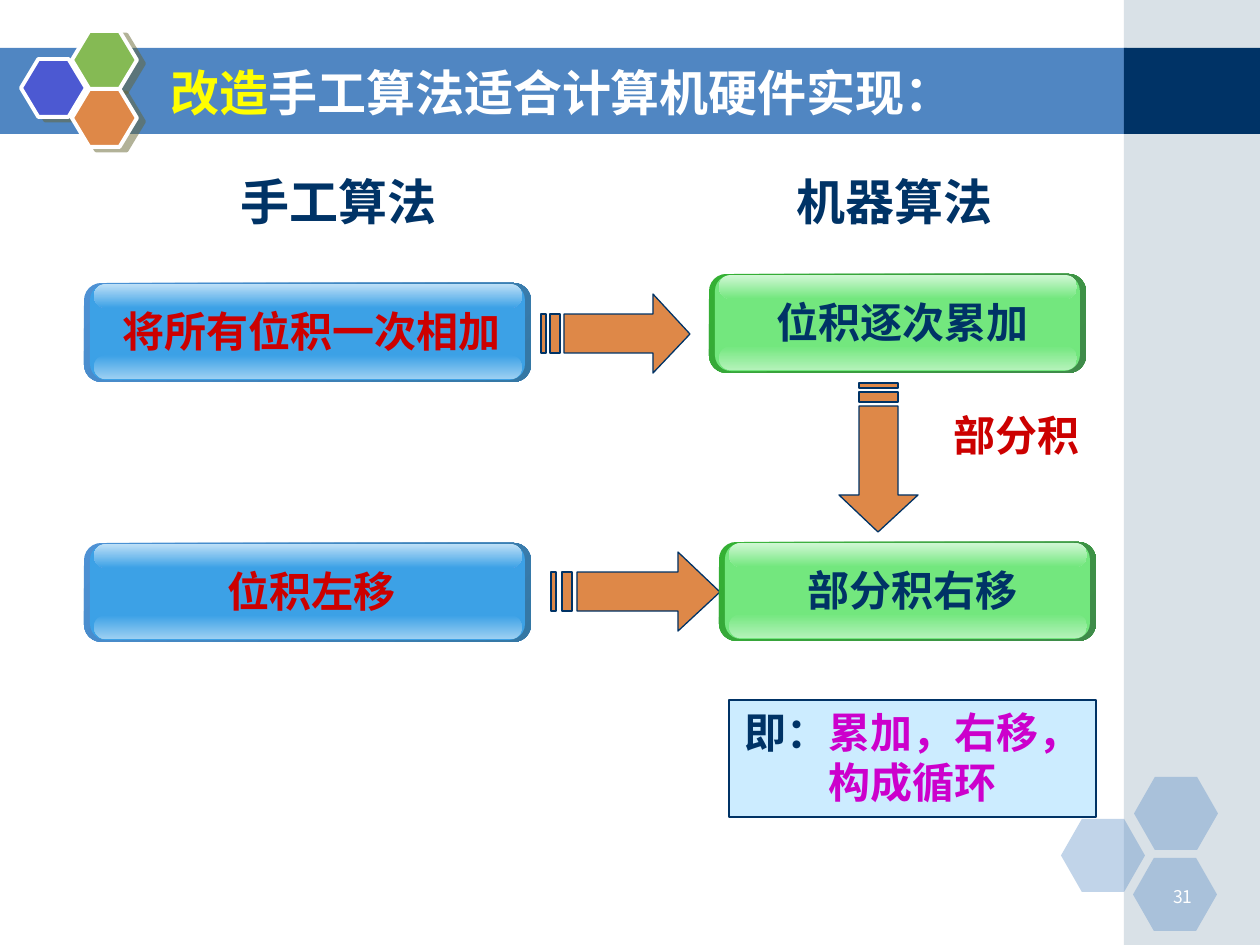
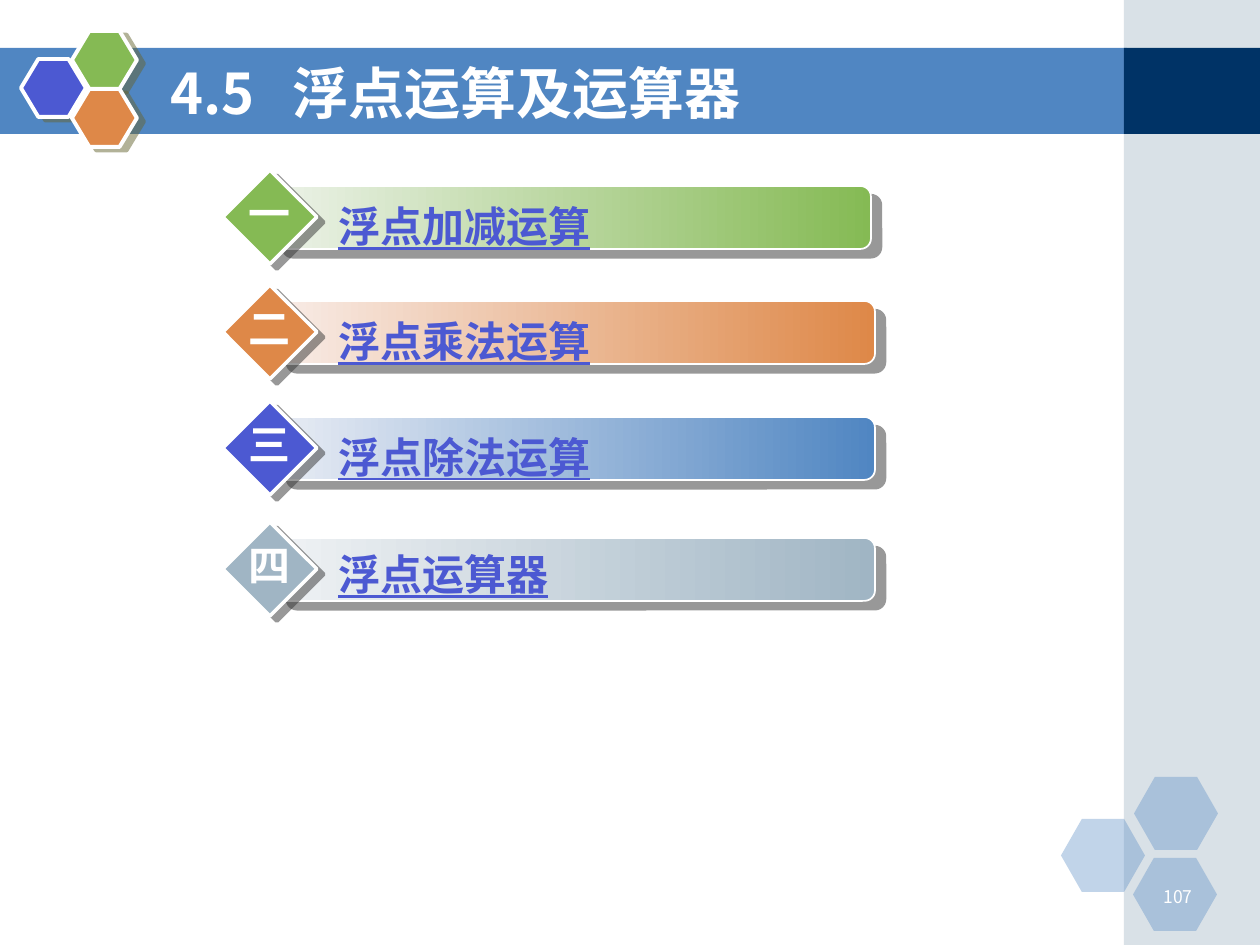
from lxml.etree import SubElement
from pptx import Presentation
from pptx.dml.color import RGBColor
from pptx.enum.shapes import MSO_SHAPE as Shape
from pptx.enum.text import MSO_ANCHOR as Anchor, MSO_AUTO_SIZE as AutoSize, PP_ALIGN as Align
from pptx.oxml.ns import qn
from pptx.util import Emu, Pt

SCALE = 914400 / 126
SANS, LATIN = "Noto Sans CJK SC", "Arial"

WHITE = RGBColor(0xFF, 0xFF, 0xFF)
NAVY = RGBColor(0x00, 0x33, 0x66)
BLUE = RGBColor(0x50, 0x86, 0xC2)
GREY = RGBColor(0xA0, 0xB5, 0xC4)
INDIGO = RGBColor(0x4C, 0x59, 0xD2)
GREEN = RGBColor(0x85, 0xBA, 0x54)
ORANGE = RGBColor(0xDE, 0x88, 0x48)
YELLOW = RGBColor(0xFF, 0xFF, 0x00)
RED = RGBColor(0xCC, 0x00, 0x00)
MAGENTA = RGBColor(0xCC, 0x00, 0xCC)
ICE = RGBColor(0xCC, 0xEC, 0xFF)
OLIVE = RGBColor(0x66, 0x66, 0x33)
CHARCOAL = RGBColor(0x33, 0x33, 0x33)
PALE_GREEN = RGBColor(0xEC, 0xF2, 0xE8)
PALE_ORANGE = RGBColor(0xF8, 0xEC, 0xE7)
PALE_BLUE = RGBColor(0xE8, 0xEC, 0xF4)
PALE_GREY = RGBColor(0xEF, 0xF2, 0xF4)

BLUE_BUTTON = {
    "rim": (RGBColor(0x4E, 0x91, 0xD4), RGBColor(0x34, 0x77, 0xA4)),
    "face": RGBColor(0x3C, 0xA1, 0xE6),
    "top": RGBColor(0xBE, 0xE0, 0xF7),
    "bottom": RGBColor(0x9B, 0xCF, 0xF2),
    "text": RED,
}
GREEN_BUTTON = {
    "rim": (RGBColor(0x34, 0xB0, 0x34), RGBColor(0x3F, 0x8B, 0x4A)),
    "face": RGBColor(0x73, 0xE7, 0x7E),
    "top": RGBColor(0xD0, 0xF7, 0xD4),
    "bottom": RGBColor(0xB3, 0xF2, 0xB9),
    "text": NAVY,
}


def px(length):
    """Turn pixels into EMU."""
    return Emu(round(length * SCALE))


def place(item, box):
    """Move and size an item to a pixel box."""
    for name, length in zip(("left", "top", "width", "height"), box):
        setattr(item, name, px(length))


def paint(item, fill, angle=0, line=None, width=1, alpha=None):
    """Give a shape its fill, which may be a pair of gradient colours, and its line."""
    item.shadow.inherit = False
    if isinstance(fill, RGBColor):
        item.fill.solid()
        item.fill.fore_color.rgb = fill
    else:
        item.fill.gradient()
        item.fill.gradient_angle = (360 - angle) % 360
        for stop, color in zip(item.fill.gradient_stops, fill):
            stop.color.rgb = color
    if alpha is not None:
        for node in item.element.spPr.iter(qn("a:srgbClr")):
            SubElement(node, qn("a:alpha"), val=str(alpha * 1000))
    if line is None:
        item.line.fill.background()
    else:
        item.line.color.rgb = line
        item.line.width = Pt(width)


def add_figure(shapes, kind, box, fill, adjust=None, **look):
    """Add a painted preset shape."""
    figure = shapes.add_shape(kind, *map(px, box))
    if adjust is not None:
        figure.adjustments[0] = adjust
    paint(figure, fill, **look)
    return figure


def add_shadow(figure, color, distance, angle):
    """Add a half-transparent offset shadow."""
    effects = figure.element.spPr.find(qn("a:effectLst"))
    shadow = SubElement(effects, qn("a:outerShdw"), dist=str(Pt(distance)),
                        dir=str(angle * 60000), algn="ctr", rotWithShape="0")
    tint = SubElement(shadow, qn("a:srgbClr"), val=str(color))
    SubElement(tint, qn("a:alpha"), val="50000")


def write(item, spans, size, align=Align.CENTER, anchor=Anchor.TOP,
          font=SANS, bold=True, underline=None, wrap=True):
    """Write one paragraph of coloured spans."""
    frame = item.text_frame
    frame.auto_size = AutoSize.NONE
    frame.word_wrap = wrap
    frame.vertical_anchor = anchor
    para = frame.paragraphs[0]
    para.alignment = align
    para.space_before = Pt(0)
    style = {"size": Pt(size), "name": font, "bold": bold, "underline": underline}
    for text, color in spans:
        span = para.add_run()
        span.text = text
        for name, value in style.items():
            setattr(span.font, name, value)
        span.font.color.rgb = color
        SubElement(span.font._element, qn("a:ea"), typeface=font)
    return para


def add_text(shapes, box, spans, size, **style):
    """Add a text box with one paragraph."""
    item = shapes.add_textbox(*map(px, box))
    write(item, spans, size, **style)
    return item


def add_frame(page, number):
    """Draw the band, side panel, hexagons and page number."""
    shapes = page.shapes
    add_figure(shapes, Shape.RECTANGLE, (0, 48, 1127, 86), BLUE)
    add_figure(shapes, Shape.RECTANGLE, (1124, 0, 136, 945), GREY, alpha=40)
    add_figure(shapes, Shape.RECTANGLE, (1124, 48, 136, 86), NAVY)
    for left, top in ((1061, 819), (1134, 777), (1133, 858)):
        add_figure(shapes, Shape.HEXAGON, (left, top, 84, 73), BLUE, 0.286, alpha=35)
    emblem = shapes.add_group_shape().shapes
    for left, top, color in ((21, 59, INDIGO), (72, 31, GREEN), (72, 89, ORANGE)):
        cell = add_figure(emblem, Shape.HEXAGON, (left, top, 65, 58), color, 0.3,
                          line=WHITE, width=2.25)
        add_shadow(cell, OLIVE, 4.5, 27)
    add_text(shapes, (1142, 880, 63, 31), [(number, WHITE)], 10,
             align=Align.RIGHT, bold=False)


def add_page(deck, layout, number, spans, size):
    """Start a slide with the shared frame and its title."""
    page = deck.slides.add_slide(deck.slide_layouts[layout])
    add_frame(page, number)
    title = page.shapes.title
    title.element.getparent().append(title.element)
    place(title, (158, 53, 924, 78))
    return page, write(title, spans, size, align=Align.LEFT, anchor=Anchor.MIDDLE)


def add_button(page, box, text, colors):
    """Draw a glossy button with its label."""
    left, top, width, height = box
    shapes = page.shapes.add_group_shape().shapes
    face = colors["face"]
    add_figure(shapes, Shape.ROUNDED_RECTANGLE, box, colors["rim"], 0.175, angle=45)
    add_figure(shapes, Shape.ROUNDED_RECTANGLE,
               (left + 6, top + 1, width - 12, height - 3), face, 0.167)
    for offset, fill in ((height - 27, (face, colors["bottom"])), (1, (colors["top"], face))):
        add_figure(shapes, Shape.ROUNDED_RECTANGLE,
                   (left + 10, top + offset, width - 19, 24), fill, 0.5, angle=90)
    add_text(shapes, (left + 15, top + 16, width - 21, 63),
             [(text, colors["text"])], 24, font=LATIN)


def add_arrow(page, box, turn=0):
    """Draw a right arrow with a two-stripe tail, then turn it."""
    left, top, width, height = box
    upper, lower = top + height / 4, top + height * 3 / 4
    neck, tail, tip = left + width * 3 / 4, left + width * 5 / 32, left + width
    outlines = [[(neck, top), (neck, upper), (tail, upper), (tail, lower),
                 (neck, lower), (neck, top + height), (tip, top + height / 2)]]
    for start, end in ((2, 4), (0, 1)):
        near, far = left + width * start / 32, left + width * end / 32
        outlines.append([(near, upper), (near, lower), (far, lower), (far, upper)])
    builder = page.shapes.build_freeform(*outlines[0][0], scale=SCALE)
    for index, points in enumerate(outlines):
        if index:
            builder.move_to(*points[0])
        builder.add_line_segments(points[1:], close=True)
    arrow = builder.convert_to_shape()
    paint(arrow, ORANGE, line=NAVY, width=0.75)
    arrow.rotation = turn


def add_algorithm_page(deck):
    """Compare the manual and the machine algorithm."""
    page, _ = add_page(deck, 1, "31",
                       [("改造", YELLOW), ("手工算法适合计算机硬件实现：", WHITE)], 28)
    heading = page.placeholders[1]
    heading.element.getparent().append(heading.element)
    place(heading, (174, 165, 329, 86))
    para = write(heading, [("手工算法", NAVY)], 28)
    properties = para._p.get_or_add_pPr()
    for name in ("marL", "indent"):
        properties.set(name, "0")
    SubElement(properties, qn("a:buNone"))
    add_text(page.shapes, (730, 165, 329, 86), [("机器算法", NAVY)], 28)
    add_button(page, (84, 283, 447, 99), "将所有位积一次相加", BLUE_BUTTON)
    add_arrow(page, (541, 294, 149, 79))
    add_arrow(page, (804, 418, 149, 79), 90)
    add_text(page.shapes, (927, 403, 179, 66), [("部分积", RED)], 24)
    add_button(page, (84, 543, 447, 99), "位积左移", BLUE_BUTTON)
    add_arrow(page, (551, 552, 169, 79))
    add_button(page, (719, 542, 377, 99), "部分积右移", GREEN_BUTTON)
    add_button(page, (709, 274, 377, 99), "位积逐次累加", GREEN_BUTTON)
    note = add_figure(page.shapes, Shape.RECTANGLE, (729, 700, 367, 117), ICE,
                      line=NAVY, width=1.5)
    write(note, [("即：", NAVY), ("累加，右移，构成循环", MAGENTA)], 24, font=LATIN)


def add_topic_bar(page, box, text, text_top, fill):
    """Draw one gradient bar and its underlined topic."""
    bar = add_figure(page.shapes, Shape.ROUNDED_RECTANGLE, box, fill, 0.167, line=WHITE)
    add_shadow(bar, CHARCOAL, 7.8, 40)
    add_text(page.shapes, (326, text_top, 523, 63), [(text, INDIGO)], 24,
             align=Align.LEFT, underline=True)


def add_marker(page, left, top, numeral, color):
    """Draw one numbered diamond."""
    shapes = page.shapes.add_group_shape().shapes
    diamond = add_figure(shapes, Shape.DIAMOND, (left, top, 94, 94), color,
                         line=WHITE, width=2)
    add_shadow(diamond, CHARCOAL, 5, 37)
    add_text(shapes, (left + 13, top + 11, 68, 63), [(numeral, WHITE)], 24, wrap=False)


def add_contents_page(deck):
    """List the topics of the section."""
    page, para = add_page(deck, 5, "107", [("4.5\t浮点运算及运算器", WHITE)], 32)
    tabs = SubElement(para._p.get_or_add_pPr(), qn("a:tabLst"))
    SubElement(tabs, qn("a:tab"), pos=str(px(122)), algn="l")
    topics = (
        ("一", "浮点加减运算", 170, 272, 194, PALE_GREEN, GREEN, GREEN),
        ("二", "浮点乘法运算", 285, 276, 309, PALE_ORANGE, ORANGE, ORANGE),
        ("三", "浮点除法运算", 401, 276, 425, PALE_BLUE, BLUE, INDIGO),
        ("四", "浮点运算器", 522, 276, 542, PALE_GREY, GREY, GREY),
    )
    for _, text, top, left, text_top, pale, strong, _ in topics:
        add_topic_bar(page, (left, top + 16, 599, 63), text, text_top, (pale, strong))
    for numeral, _, top, *_, color in topics:
        add_marker(page, 223, top, numeral, color)


def main():
    """Build and save the deck."""
    deck = Presentation()
    deck.slide_width, deck.slide_height = px(1260), px(945)
    add_algorithm_page(deck)
    add_contents_page(deck)
    deck.save("out.pptx")


if __name__ == "__main__":
    main()
